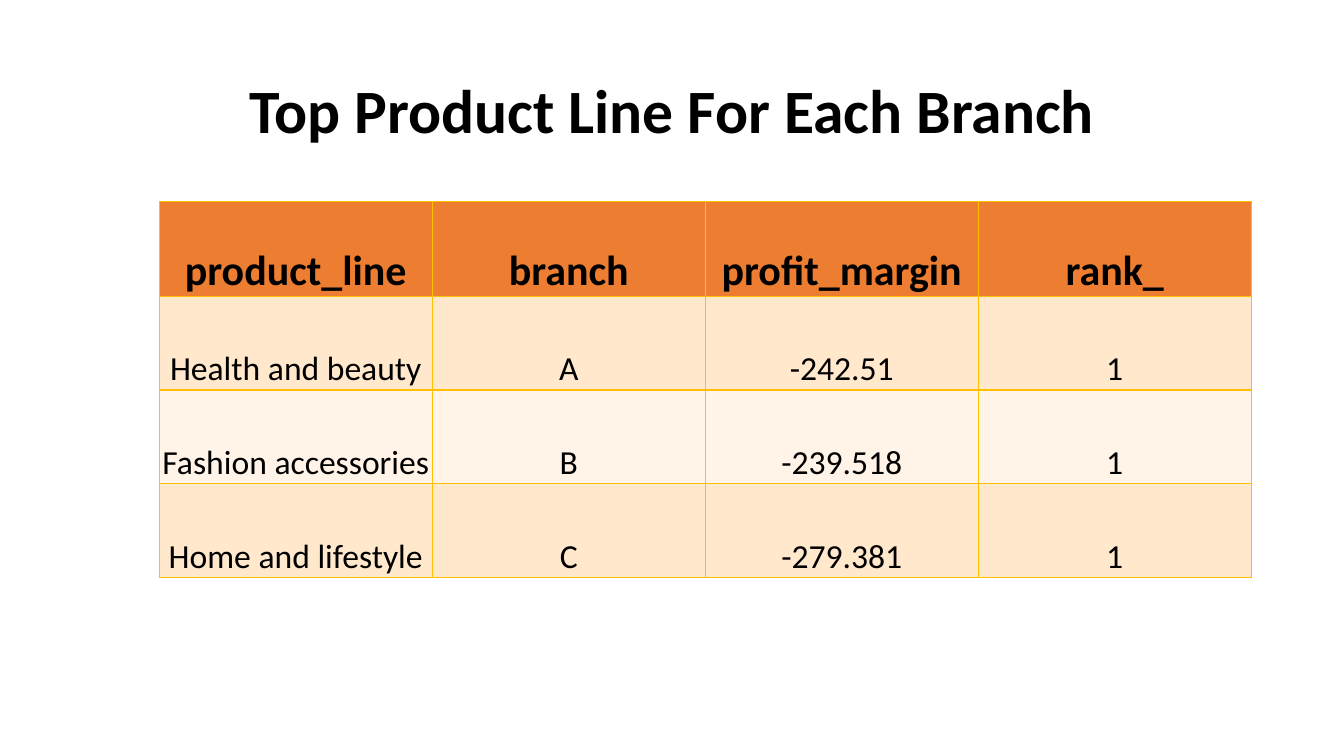
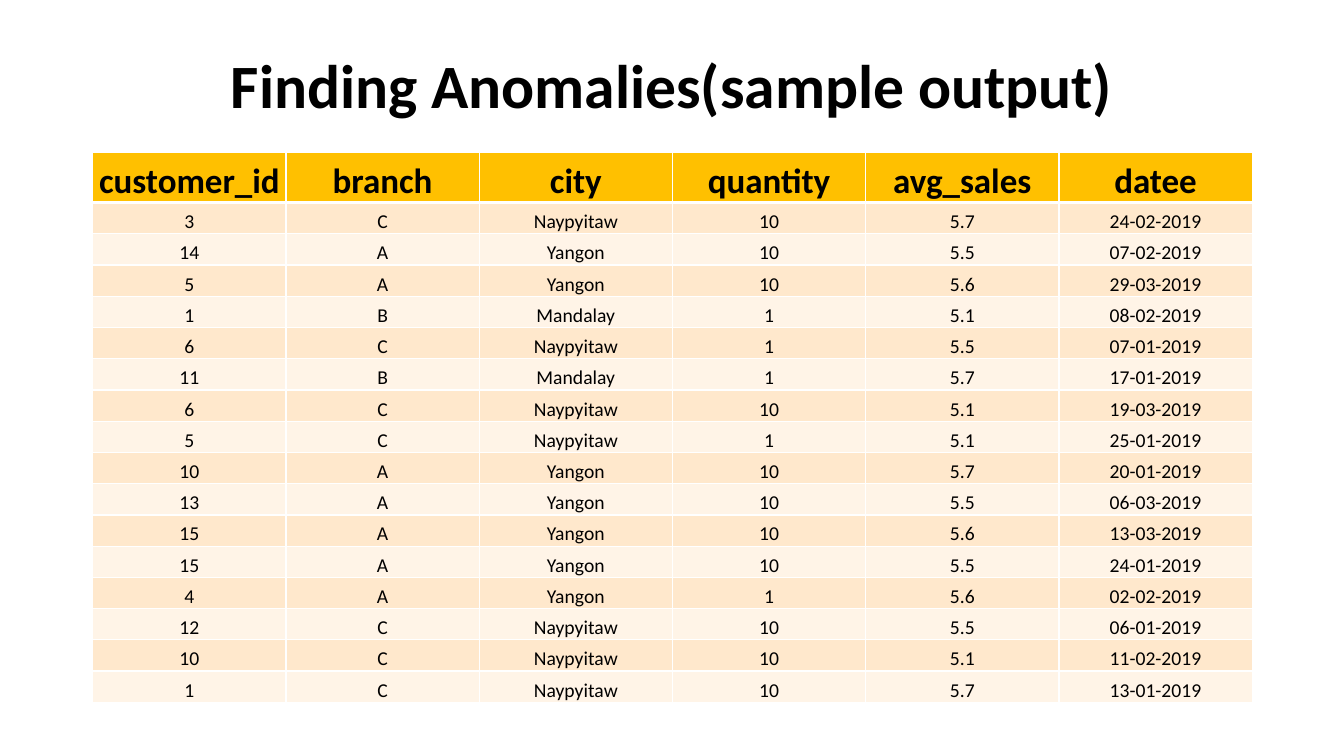
import lxml.etree
import pptx
import pptx.dml.color
import pptx.enum.text
import pptx.oxml.ns
import pptx.util

Inches = pptx.util.Inches
Pt = pptx.util.Pt
rgb = pptx.dml.color.RGBColor.from_string
qn = pptx.oxml.ns.qn

FONT = "Calibri"
INK = "000000"
BANDS = ["FFE8CC", "FFF4E7"]
MARGIN = 0.92
CONTENT_WIDTH = 11.5

SLIDES = [
    {
        "title": "Top Product Line For Each Branch",
        "title_height": 1.45,
        "left": 1.58, "top": 2, "width": 10.83,
        "header_height": 0.94, "row_height": 0.93,
        "header_size": 30, "body_size": 24,
        "header_fill": "ED7D31", "border": "FFC000", "header_rule": 1,
        "rows": [
            ["product_line", "branch", "profit_margin", "rank_"],
            ["Health and beauty", "A", "-242.51", "1"],
            ["Fashion accessories", "B", "-239.518", "1"],
            ["Home and lifestyle", "C", "-279.381", "1"],
        ],
    },
    {
        "title": "Finding Anomalies(sample output)",
        "title_height": 0.95,
        "left": MARGIN, "top": 1.51, "width": CONTENT_WIDTH,
        "header_height": 0.5, "row_height": 0.31,
        "header_size": 25, "body_size": 14,
        "header_fill": "FFC000", "border": "FFFFFF", "header_rule": 3,
        "rows": [
            ["customer_id", "branch", "city", "quantity", "avg_sales", "datee"],
            ["3", "C", "Naypyitaw", "10", "5.7", "24-02-2019"],
            ["14", "A", "Yangon", "10", "5.5", "07-02-2019"],
            ["5", "A", "Yangon", "10", "5.6", "29-03-2019"],
            ["1", "B", "Mandalay", "1", "5.1", "08-02-2019"],
            ["6", "C", "Naypyitaw", "1", "5.5", "07-01-2019"],
            ["11", "B", "Mandalay", "1", "5.7", "17-01-2019"],
            ["6", "C", "Naypyitaw", "10", "5.1", "19-03-2019"],
            ["5", "C", "Naypyitaw", "1", "5.1", "25-01-2019"],
            ["10", "A", "Yangon", "10", "5.7", "20-01-2019"],
            ["13", "A", "Yangon", "10", "5.5", "06-03-2019"],
            ["15", "A", "Yangon", "10", "5.6", "13-03-2019"],
            ["15", "A", "Yangon", "10", "5.5", "24-01-2019"],
            ["4", "A", "Yangon", "1", "5.6", "02-02-2019"],
            ["12", "C", "Naypyitaw", "10", "5.5", "06-01-2019"],
            ["10", "C", "Naypyitaw", "10", "5.1", "11-02-2019"],
            ["1", "C", "Naypyitaw", "10", "5.7", "13-01-2019"],
        ],
    },
]


def write(frame, text, size, bold=False, line_spacing=None):
    frame.text = text
    paragraph = frame.paragraphs[0]
    paragraph.alignment = pptx.enum.text.PP_ALIGN.CENTER
    paragraph.line_spacing = line_spacing
    font = paragraph.runs[0].font
    font.name = FONT
    font.size = Pt(size)
    font.bold = bold
    font.color.rgb = rgb(INK)


def add_border(cell, side, color, width):
    """Draw one side (L, R, T or B) of a cell; call before filling the cell."""
    line = lxml.etree.SubElement(cell._tc.get_or_add_tcPr(), qn(f"a:ln{side}"), w=str(Pt(width)))
    fill = lxml.etree.SubElement(line, qn("a:solidFill"))
    lxml.etree.SubElement(fill, qn("a:srgbClr"), val=color)


deck = pptx.Presentation()
deck.slide_width = Inches(13.33)
deck.slide_height = Inches(7.5)
title_only = deck.slide_layouts[5]

for content in SLIDES:
    slide = deck.slides.add_slide(title_only)

    title = slide.shapes.title
    title.left, title.top = Inches(MARGIN), Inches(0.4)
    title.width, title.height = Inches(CONTENT_WIDTH), Inches(content["title_height"])
    title.text_frame.vertical_anchor = pptx.enum.text.MSO_ANCHOR.MIDDLE
    write(title.text_frame, content["title"], size=44, bold=True, line_spacing=0.9)

    rows = content["rows"]
    heights = [content["header_height"]] + [content["row_height"]] * (len(rows) - 1)
    table = slide.shapes.add_table(
        len(rows), len(rows[0]), Inches(content["left"]), Inches(content["top"]),
        Inches(content["width"]), Inches(sum(heights))).table
    for column in table.columns:
        column.width = Inches(content["width"] / len(rows[0]))

    for r, values in enumerate(rows):
        table.rows[r].height = Inches(heights[r])
        is_header = r == 0
        rules = {"L": 1, "R": 1, "T": 1, "B": 1}
        if is_header:
            rules["B"] = content["header_rule"]
        elif r == 1:
            rules["T"] = content["header_rule"]

        for c, value in enumerate(values):
            cell = table.cell(r, c)
            cell.margin_left = cell.margin_right = cell.margin_top = Inches(0.01)
            cell.margin_bottom = 0
            cell.vertical_anchor = pptx.enum.text.MSO_ANCHOR.BOTTOM
            for side, width in rules.items():
                add_border(cell, side, content["border"], width)
            cell.fill.solid()
            cell.fill.fore_color.rgb = rgb(
                content["header_fill"] if is_header else BANDS[(r - 1) % 2])
            write(cell.text_frame, value, bold=is_header,
                  size=content["header_size" if is_header else "body_size"])

deck.save("out.pptx")
